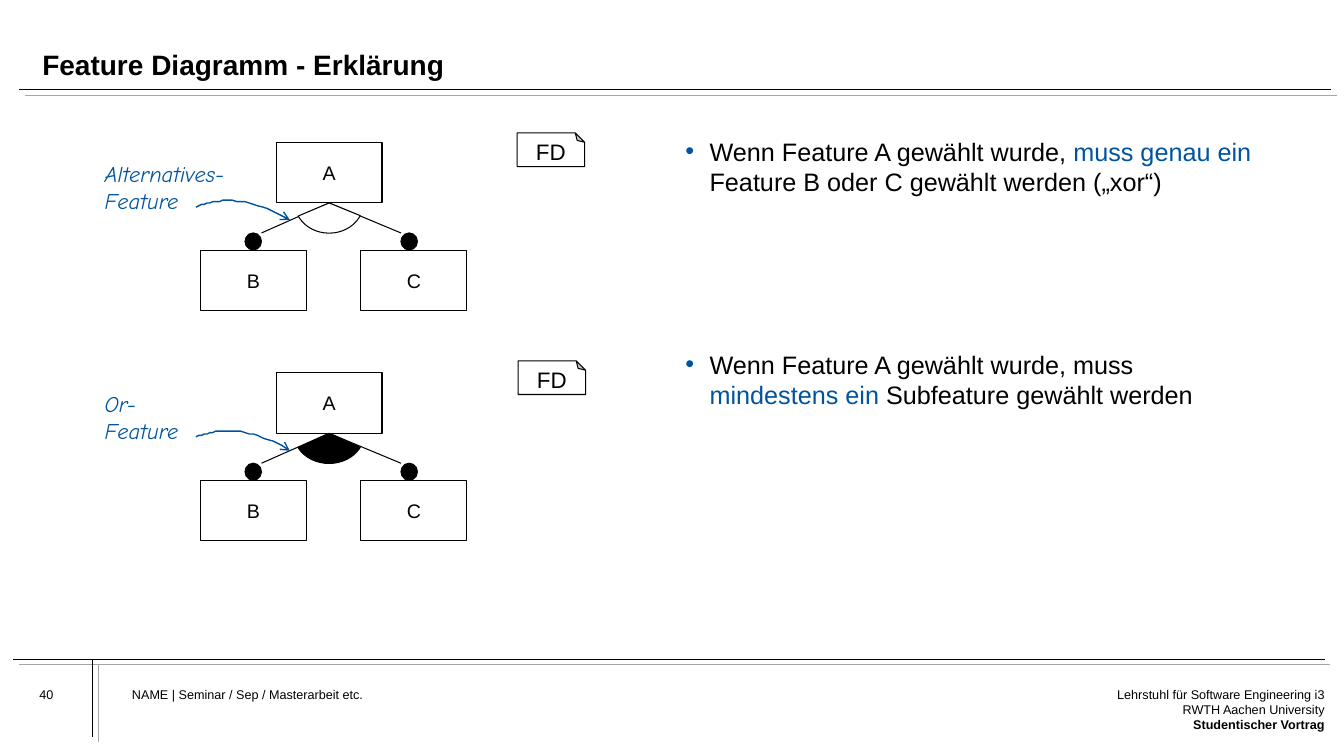
"""Builds the slide explaining alternative and or features in feature diagrams."""
from lxml.etree import SubElement
from pptx import Presentation
from pptx.dml.color import RGBColor
from pptx.enum.shapes import MSO_CONNECTOR as Link, MSO_SHAPE as Shape
from pptx.enum.text import MSO_ANCHOR as Anchor, MSO_AUTO_SIZE as Fit, PP_ALIGN as Align
from pptx.oxml.ns import qn
from pptx.util import Pt

COLORS = {"black": "000000", "blue": "00549F", "grey": "A6A6A6", "white": "FFFFFF"}

TITLE = "Feature Diagramm - Erklärung"
BREAK = ("\v", "black")
EXPLANATIONS = [
    [("Wenn Feature A gewählt wurde, ", "black"), ("muss genau ein ", "blue"),
     ("Feature B oder C gewählt werden („xor“)", "black")],
    [("Wenn Feature A gewählt wurde, muss", "black"), BREAK,
     ("mindestens ein ", "blue"), ("Subfeature gewählt werden", "black")],
]
DIAGRAMS = [
    {"label": "Alternatives-\nFeature", "label_width": 115.2, "sector": "white",
     "sector_size": (49, 43.2), "angles": (1334500, 9420700), "note": (369.4, 95)},
    {"label": "Or-\vFeature", "label_width": 73.4, "sector": "black",
     "sector_size": (50.4, 43.2), "angles": (1462700, 9302000), "note": (370.1, 257.8)},
]
PAGE = "40"
AUTHOR = "NAME | Seminar / Sep / Masterarbeit etc."
CHAIR = ["Lehrstuhl für Software Engineering i3", "RWTH Aachen University",
         "Studentischer Vortrag"]
RULES = [
    ((13.7, 64.1), (951.1, 64.1)),
    ((9.4, 470.9), (946.1, 470.9)),
    ((66.2, 470.9), (66.2, 526.3)),
]
RULE_OFFSET = 4

APEX = (235.1, 145)
BOX = (75.6, 43.2)
DOT = (11.8, 12.2)
DIAGRAM_PITCH = 164.5
CHILD_TOP = 178.6
CHILDREN = [("B", 181, 180.9), ("C", 295.6, 292.3)]
POINTER = [(139.7, 147.6), (156.2, 142.6), (172.1, 138.2), (207.4, 157)]
POINTER_STEPS = 24


def color(name):
    return RGBColor.from_string(COLORS[name])


def style_font(paragraph, size, name="black", face="Arial"):
    font = paragraph.font
    font.size, font.name = Pt(size), face
    font.color.rgb = color(name)


def clear_margins(frame):
    frame.margin_left = frame.margin_right = frame.margin_top = frame.margin_bottom = 0


def place(shape, left, top, width, height):
    shape.left, shape.top, shape.width, shape.height = map(Pt, (left, top, width, height))


def add_line(start, end, name="black", width=0.75):
    line = slide.shapes.add_connector(Link.STRAIGHT, *map(Pt, (*start, *end)))
    line.line.color.rgb, line.line.width = color(name), Pt(width)
    SubElement(line._element.spPr, qn("a:effectLst"))


def add_outlined(kind, left, top, size, fill=None):
    shape = slide.shapes.add_shape(kind, *map(Pt, (left, top, *size)))
    shape.shadow.inherit = False
    shape.line.color.rgb, shape.line.width = color("black"), Pt(0.75)
    if fill:
        shape.fill.solid()
        shape.fill.fore_color.rgb = color(fill)
    else:
        shape.fill.background()
    return shape


def set_guides(shape, **guides):
    geometry = shape._element.spPr.find(qn("a:prstGeom"))
    for old in geometry.findall(qn("a:avLst")):
        geometry.remove(old)
    values = SubElement(geometry, qn("a:avLst"))
    for name, value in guides.items():
        SubElement(values, qn("a:gd"), name=name, fmla=f"val {value}")


def write_centred(shape, text, size):
    frame = shape.text_frame
    frame.text, frame.word_wrap, frame.vertical_anchor = text, False, Anchor.MIDDLE
    paragraph = frame.paragraphs[0]
    paragraph.alignment = Align.CENTER
    style_font(paragraph, size)
    return paragraph


def add_feature(name, centre, top, fill=None):
    write_centred(add_outlined(Shape.RECTANGLE, centre - BOX[0] / 2, top, BOX, fill), name, 14)


def add_footer(left, width, lines, align=Align.LEFT):
    frame = slide.shapes.add_textbox(*map(Pt, (left, 490.3, width, 49.7))).text_frame
    clear_margins(frame)
    frame.word_wrap, frame.text = True, "\n".join(lines)
    for paragraph in frame.paragraphs:
        paragraph.alignment = align
        style_font(paragraph, 9)
    return frame


def bezier(t):
    weights = ((1 - t) ** 3, 3 * t * (1 - t) ** 2, 3 * t * t * (1 - t), t ** 3)
    return tuple(sum(w * point[axis] for w, point in zip(weights, POINTER)) for axis in (0, 1))


def add_pointer(shift):
    curve = [(x, y + shift) for x, y in (bezier(i / POINTER_STEPS) for i in range(POINTER_STEPS + 1))]
    builder = slide.shapes.build_freeform(*curve[0], scale=Pt(1))
    builder.add_line_segments(curve[1:], close=False)
    pointer = builder.convert_to_shape()
    pointer.shadow.inherit = False
    pointer.fill.background()
    pointer.line.color.rgb, pointer.line.width = color("blue"), Pt(1)
    outline = pointer._element.spPr.find(qn("a:ln"))
    SubElement(outline, qn("a:tailEnd"), type="arrow")


def add_note(left, top):
    note = add_outlined(Shape.FOLDED_CORNER, left, top, (48.2, 24), "white")
    set_guides(note, adj=27600)
    note._element.spPr.find(qn("a:xfrm")).set("flipV", "1")
    write_centred(note, "FD", 16).line_spacing = 0.7
    note.text_frame._txBody.find(qn("a:bodyPr")).set("rot", "10800000")


def add_diagram(diagram, shift):
    apex_x, apex_y = APEX[0], APEX[1] + shift
    child_top = CHILD_TOP + shift
    dot_top = child_top - DOT[1]
    for name, centre, dot_centre in CHILDREN:
        add_feature(name, centre, child_top)
        add_outlined(Shape.OVAL, dot_centre - DOT[0] / 2, dot_top, DOT, "black")
        inward = 1 if dot_centre < apex_x else -1
        add_line((apex_x, apex_y), (dot_centre + inward * DOT[0] / 2, dot_top))
    add_feature("A", apex_x, apex_y - BOX[1], "white")
    add_pointer(shift)

    size = diagram["sector_size"]
    sector = add_outlined(Shape.PIE, apex_x - size[0] / 2, apex_y - size[1] / 2, size,
                          diagram["sector"])
    first, last = diagram["angles"]
    set_guides(sector, adj1=first, adj2=last)

    label = slide.shapes.add_textbox(
        *map(Pt, (67.7, 110.9 + shift, diagram["label_width"], 46.1))).text_frame
    label.text, label.word_wrap = diagram["label"], False
    for paragraph in label.paragraphs:
        style_font(paragraph, 16, "blue", "Comic Neue")
        paragraph.font.italic = True
    add_note(*diagram["note"])


def fill_title():
    place(slide.shapes.title, 30.2, 15.8, 904.3, 42.5)
    frame = slide.shapes.title.text_frame
    clear_margins(frame)
    frame.text, frame.vertical_anchor, frame.auto_size = TITLE, Anchor.BOTTOM, Fit.NONE
    heading = frame.paragraphs[0]
    heading.alignment, heading.line_spacing = Align.LEFT, 0.9
    style_font(heading, 20)
    heading.font.bold = True


def fill_explanations():
    place(slide.placeholders[1], 489.6, 97.2, 445, 345.6)
    frame = slide.placeholders[1].text_frame
    clear_margins(frame)
    frame.auto_size = Fit.NONE
    for index, pieces in enumerate(EXPLANATIONS):
        paragraph = frame.add_paragraph() if index else frame.paragraphs[0]
        props = paragraph._p.get_or_add_pPr()
        props.set("marL", str(Pt(17.28)))
        props.set("indent", str(-Pt(17.28)))
        paragraph.space_before = Pt(109 * index)
        SubElement(SubElement(props, qn("a:buClr")), qn("a:srgbClr"), val=COLORS["blue"])
        SubElement(props, qn("a:buChar"), char="•")
        style_font(paragraph, 18)
        for piece in pieces:
            if piece == BREAK:
                paragraph.add_line_break()
                continue
            run = paragraph.add_run()
            run.text, run.font.color.rgb = piece[0], color(piece[1])


deck = Presentation()
deck.slide_width, deck.slide_height = Pt(960), Pt(540)
slide = deck.slides.add_slide(deck.slide_layouts[1])
for start, end in RULES:
    add_line(start, end, "black", 0.5)
    add_line(*[(x + RULE_OFFSET, y + RULE_OFFSET) for x, y in (start, end)], "grey", 0.5)
add_footer(94.3, 551.5, [AUTHOR])
add_footer(28.1, 36, [PAGE])
add_footer(791.3, 154.8, CHAIR, Align.RIGHT).paragraphs[-1].font.bold = True
fill_title()
fill_explanations()
for row, diagram in enumerate(DIAGRAMS):
    add_diagram(diagram, row * DIAGRAM_PITCH)
deck.save("out.pptx")
